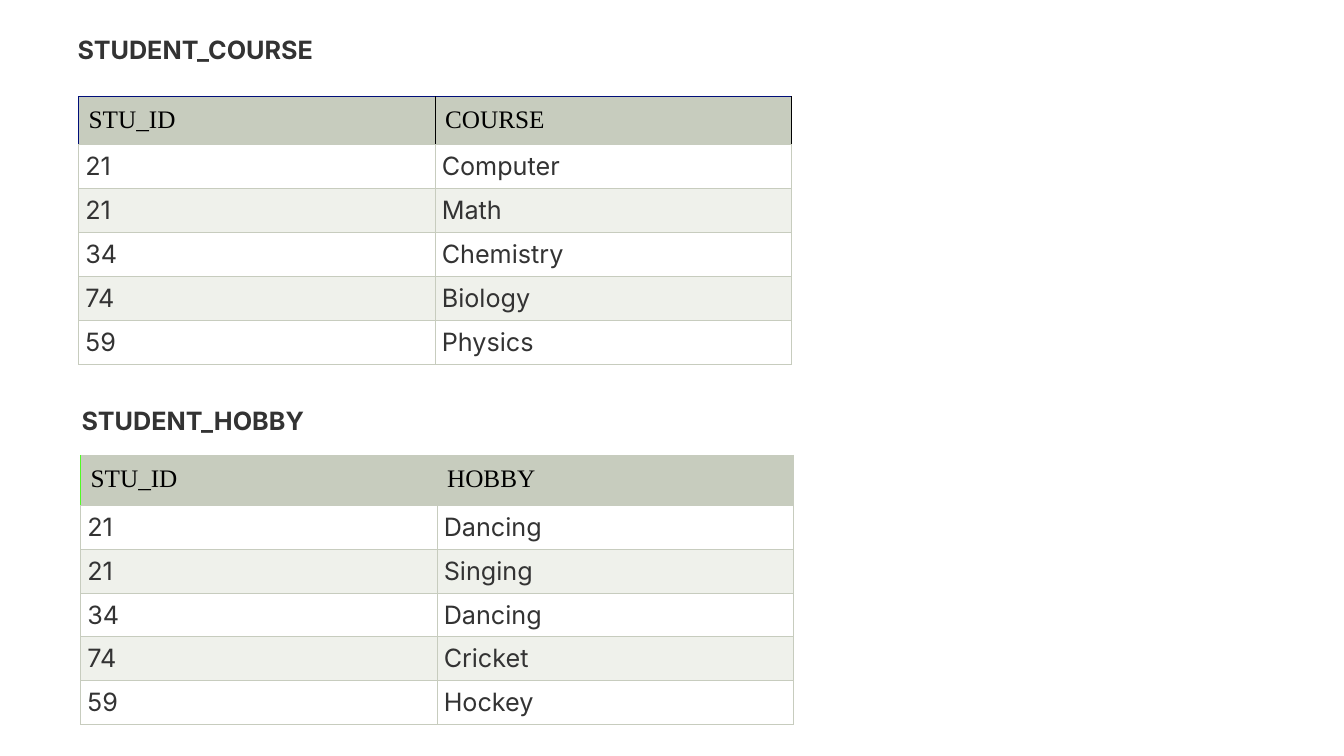
"""Builds a slide with two student tables under bold titles."""
from dataclasses import dataclass

from lxml import etree
from pptx import Presentation
from pptx.dml.color import RGBColor
from pptx.enum.text import MSO_AUTO_SIZE, PP_ALIGN
from pptx.oxml.ns import qn
from pptx.util import Inches, Pt

LEFT, JUST = PP_ALIGN.LEFT, PP_ALIGN.JUSTIFY
GROW = MSO_AUTO_SIZE.SHAPE_TO_FIT_TEXT
INK = RGBColor(0x33, 0x33, 0x33)
BLACK = RGBColor(0x00, 0x00, 0x00)
WHITE = RGBColor(0xFF, 0xFF, 0xFF)
PALE = RGBColor(0xEF, 0xF1, 0xEB)
SAGE = RGBColor(0xC7, 0xCC, 0xBE)
NAVY = RGBColor(0x00, 0x0E, 0x79)
LIME = RGBColor(0x50, 0xFB, 0x24)
WIDE, HIGH = Inches(13.33), Inches(7.5)
SIDES = ("L", "R", "T", "B")
COLUMN, BODY = 26.52, 5.73


@dataclass(frozen=True)
class Box:
    x: float
    y: float
    w: float
    h: float


@dataclass(frozen=True)
class Edges:
    left: RGBColor
    mid: RGBColor
    top: RGBColor


@dataclass(frozen=True)
class Panel:
    title: str
    place: Box
    x: float
    y: float
    head: float
    edges: Edges
    rows: tuple[tuple[str, str], ...]


PANELS = (
    Panel("STUDENT_COURSE", Box(5.03, 3.87, 19.58, 5.33), 5.85, 12.75, 6.4,
          Edges(NAVY, BLACK, NAVY),
          (("STU_ID", "COURSE"), ("21", "Computer"), ("21", "Math"),
           ("34", "Chemistry"), ("74", "Biology"), ("59", "Physics"))),
    Panel("STUDENT_HOBBY", Box(5.33, 52.93, 18.38, 5.33), 6, 60.2, 6.6,
          Edges(LIME, SAGE, SAGE),
          (("STU_ID", "HOBBY"), ("21", "Dancing"), ("21", "Singing"),
           ("34", "Dancing"), ("74", "Cricket"), ("59", "Hockey"))),
)


def across(share: float) -> int:
    """Turn a percentage of the slide's width into a length."""
    return round(WIDE * share / 100)


def down(share: float) -> int:
    """Turn a percentage of the slide's height into a length."""
    return round(HIGH * share / 100)


def write(frame, text: str, *, font: str = "Inter", color: RGBColor = INK,
          bold: bool = False, align=LEFT) -> None:
    """Put one formatted line of text into a frame."""
    line = frame.paragraphs[0]
    line.alignment = align
    run = line.add_run()
    run.text = text
    run.font.name, run.font.size = font, Pt(18)
    run.font.bold, run.font.color.rgb = bold, color


def border(cell, hues: tuple[RGBColor, ...]) -> None:
    """Rule the left, right, top and bottom of a cell."""
    props = cell._tc.get_or_add_tcPr()
    for side, hue in zip(SIDES, hues):
        rule = etree.SubElement(props, qn(f"a:ln{side}"), w=str(Pt(0.6)))
        fill = etree.SubElement(rule, qn("a:solidFill"))
        etree.SubElement(fill, qn("a:srgbClr"), val=str(hue))


def style(cell, text: str, row: int, col: int, edges: Edges) -> None:
    """Format a cell by its row and column."""
    head = row == 0
    pad = Pt(7.2 if head else 4.8)
    cell.margin_left = cell.margin_right = pad
    cell.margin_top = cell.margin_bottom = pad
    if head:
        near = edges.mid if col else edges.left
        border(cell, (near, edges.mid, edges.top, SAGE))
        write(cell.text_frame, text, font="Times New Roman", color=BLACK)
    else:
        border(cell, (SAGE,) * 4)
        write(cell.text_frame, text, align=JUST)
    cell.fill.solid()
    cell.fill.fore_color.rgb = SAGE if head else (PALE, WHITE)[row % 2]


def caption(slide, text: str, box: Box) -> None:
    """Add the bold title of a table."""
    frame = slide.shapes.add_textbox(
        across(box.x), down(box.y), across(box.w), down(box.h)).text_frame
    frame.word_wrap = False
    frame.auto_size = GROW
    write(frame, text, bold=True)


def grid(slide, panel: Panel) -> None:
    """Add the table of a panel."""
    count, cols = len(panel.rows), len(panel.rows[0])
    tall = panel.head + BODY * (count - 1)
    table = slide.shapes.add_table(
        count, cols, across(panel.x), down(panel.y),
        across(COLUMN * cols), down(tall)).table
    table.first_row = table.horz_banding = False
    for row, texts in enumerate(panel.rows):
        table.rows[row].height = down(BODY if row else panel.head)
        for col, text in enumerate(texts):
            style(table.cell(row, col), text, row, col, panel.edges)


def main() -> None:
    """Build and save the slide."""
    deck = Presentation()
    deck.slide_width, deck.slide_height = WIDE, HIGH
    slide = deck.slides.add_slide(deck.slide_layouts[6])
    for panel in PANELS:
        grid(slide, panel)
        caption(slide, panel.title, panel.place)
    deck.save("out.pptx")


if __name__ == "__main__":
    main()
